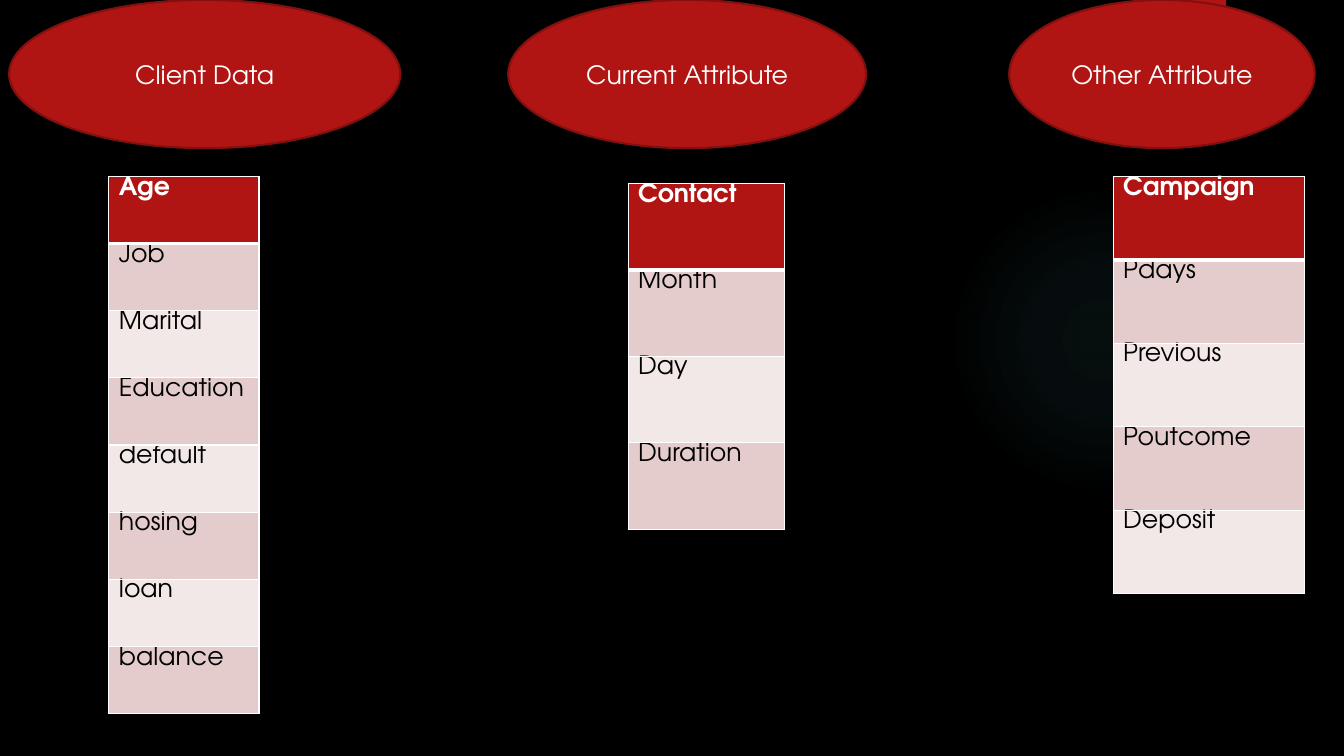
from lxml import etree
from pptx import Presentation
from pptx.dml.color import RGBColor
from pptx.enum.shapes import MSO_SHAPE
from pptx.enum.text import MSO_ANCHOR, PP_ALIGN
from pptx.oxml import parse_xml
from pptx.oxml.ns import nsdecls, qn
from pptx.util import Inches, Pt

COLOURS = {
    "background": "000000", "red": "B01513", "outline": "82100E",
    "white": "FFFFFF", "black": "000000", "glow": "50B9C1",
    "dark band": "E4CCCC", "light band": "F2E8E7",
}
FONT = "TeX Gyre Adventor"

# Heading, oval left and width, table left, top, width and height, entries
GROUPS = [
    ("Client Data", 0.09, 3.88, (1.08, 1.75, 1.49, 5.33),
     ["Age", "Job", "Marital", "Education", "default", "hosing", "loan", "balance"]),
    ("Current Attribute", 5.04, 3.55, (6.23, 1.82, 1.55, 3.43),
     ["Contact", "Month", "Day", "Duration"]),
    ("Other Attribute", 10.01, 3.03, (11.04, 1.75, 1.9, 4.14),
     ["Campaign", "Pdays", "Previous", "Poutcome", "Deposit"]),
]


def colour(name):
    return RGBColor.from_string(COLOURS[name])


class SlideBuilder:
    def __init__(self, page):
        self.page = page
        self.paint(page.background.fill, "background")

    def paint(self, fill, name):
        fill.solid()
        fill.fore_color.rgb = colour(name)

    def add_text(self, frame, text, name, bold=False, align=PP_ALIGN.LEFT):
        para = frame.paragraphs[0]
        para.alignment = align
        span = para.add_run()
        span.text = text
        for key, value in {"name": FONT, "size": Pt(18), "bold": bold}.items():
            setattr(span.font, key, value)
        span.font.color.rgb = colour(name)

    def shape(self, kind, area, fill="red", outline=None):
        box = self.page.shapes.add_shape(kind, *map(Inches, area))
        box.shadow.inherit = False
        self.paint(box.fill, fill)
        if outline:
            box.line.color.rgb = colour(outline)
            box.line.width = Pt(1.5)
        else:
            box.line.fill.background()
        return box

    def glow(self, area):
        box = self.shape(MSO_SHAPE.OVAL, area, "glow")
        stops = "".join(
            f'<a:gs pos="{position * 1000}"><a:srgbClr val="{COLOURS["glow"]}">'
            f'<a:alpha val="{opacity * 1000}"/></a:srgbClr></a:gs>'
            for position, opacity in [(0, 7), (36, 6), (69, 0)])
        gradient = parse_xml(
            f'<a:gradFill {nsdecls("a")}><a:gsLst>{stops}</a:gsLst><a:path path="circle">'
            '<a:fillToRect l="50000" t="50000" r="50000" b="50000"/></a:path></a:gradFill>')
        properties = box.element.spPr
        properties.replace(properties.find(qn("a:solidFill")), gradient)

    def oval(self, text, left, width):
        box = self.shape(MSO_SHAPE.OVAL, (left, 0, width, 1.47), outline="outline")
        box.text_frame.word_wrap = True
        box.text_frame.vertical_anchor = MSO_ANCHOR.MIDDLE
        self.add_text(box.text_frame, text, "white", align=PP_ALIGN.CENTER)

    def border(self, cell, side, points):
        properties = cell._tc.get_or_add_tcPr()
        line = etree.SubElement(properties, qn(f"a:ln{side}"), w=str(Pt(points)))
        fill = etree.SubElement(line, qn("a:solidFill"))
        etree.SubElement(fill, qn("a:srgbClr"), val=COLOURS["white"])

    def table(self, area, entries):
        table = self.page.shapes.add_table(len(entries), 1, *map(Inches, area)).table
        for index, entry in enumerate(entries):
            table.rows[index].height = Inches(area[3] / len(entries))
            cell = table.cell(index, 0)
            header = index == 0
            margins = {"margin_left": 0.1, "margin_right": 0.1,
                       "margin_top": 0, "margin_bottom": 0}
            for key, value in margins.items():
                setattr(cell, key, Inches(value))
            # The line under the header is heavier than the rest
            for side in "LRTB":
                heavy = (index, side) in [(0, "B"), (1, "T")]
                self.border(cell, side, 3 if heavy else 1)
            band = "dark band" if index % 2 else "light band"
            self.paint(cell.fill, "red" if header else band)
            self.add_text(cell.text_frame, entry, "white" if header else "black", header)


def main():
    deck = Presentation()
    deck.slide_width, deck.slide_height = Inches(13.33), Inches(7.5)
    builder = SlideBuilder(deck.slides.add_slide(deck.slide_layouts[6]))

    # Backdrop
    builder.glow((9.41, 1.83, 3.08, 3.08))
    builder.shape(MSO_SHAPE.RECTANGLE, (11.41, 0, 0.75, 1.25))

    # Headings with their attribute tables
    for heading, left, width, area, entries in GROUPS:
        builder.oval(heading, left, width)
        builder.table(area, entries)

    deck.save("out.pptx")


if __name__ == "__main__":
    main()
